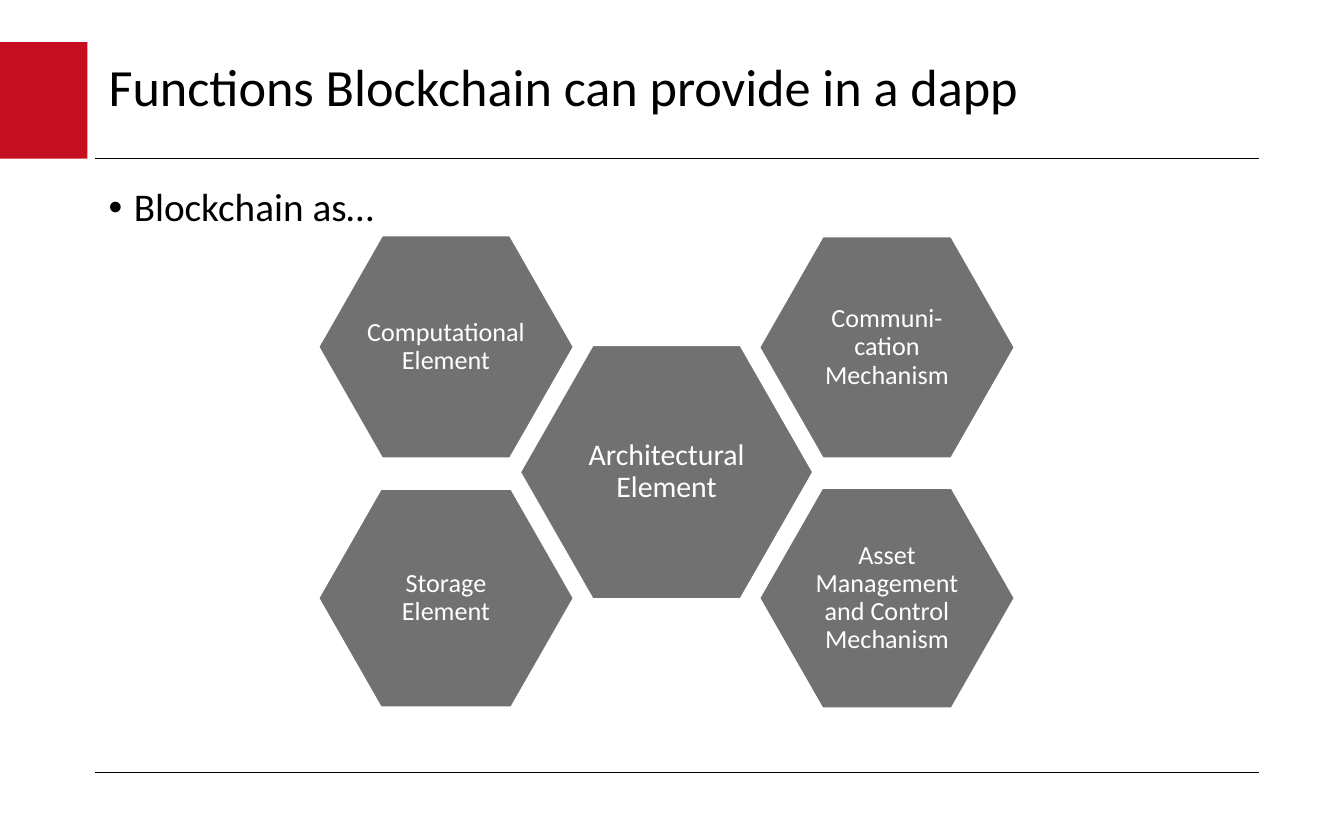
from lxml.etree import SubElement
from pptx import Presentation
from pptx.dml.color import RGBColor
from pptx.enum.shapes import MSO_CONNECTOR, MSO_SHAPE
from pptx.enum.text import MSO_ANCHOR, PP_ALIGN
from pptx.oxml.ns import qn
from pptx.util import Pt

RED = RGBColor(0xC5, 0x0E, 0x1F)
GRAY = RGBColor(0x71, 0x71, 0x71)
BLACK = RGBColor(0, 0, 0)
WHITE = RGBColor(0xFF, 0xFF, 0xFF)

CONTENT_LEFT, CONTENT_WIDTH = 51.1, 623.5
LEFT_COLUMN, CENTER_COLUMN, RIGHT_COLUMN = 170.6, 278.6, 406.8
OUTER_WIDTH, CENTER_WIDTH = 136.8, 157

FUNCTIONS = [
    ("Architectural Element", 16, (CENTER_COLUMN, 185, CENTER_WIDTH, 136)),
    ("Communi-cation Mechanism", 14, (RIGHT_COLUMN, 126.7, OUTER_WIDTH, 118.8)),
    ("Asset Management and Control Mechanism", 14, (RIGHT_COLUMN, 261.4, OUTER_WIDTH, 118)),
    ("Storage Element", 14, (LEFT_COLUMN, 262, OUTER_WIDTH, 116.9)),
    ("Computational Element", 14, (LEFT_COLUMN, 126.2, OUTER_WIDTH, 119.3)),
]


def points(box):
    return [Pt(length) for length in box]


def style_paragraph(paragraph, size, color):
    paragraph.line_spacing = 0.9
    for run in paragraph.runs:
        run.font.name = "Calibri"
        run.font.size = Pt(size)
        run.font.color.rgb = color


def add_rule(slide, left, top, width):
    rule = slide.shapes.add_connector(
        MSO_CONNECTOR.STRAIGHT, Pt(left), Pt(top), Pt(left + width), Pt(top))
    rule.line.color.rgb = BLACK
    rule.line.width = Pt(0.75)
    SubElement(rule._element.spPr, qn("a:effectLst"))


def add_accent(slide, box):
    accent = slide.shapes.add_shape(MSO_SHAPE.RECTANGLE, *points(box))
    accent.shadow.inherit = False
    accent.fill.solid()
    accent.fill.fore_color.rgb = RED
    accent.line.fill.background()


def add_text(slide, box, text, size, anchor):
    frame = slide.shapes.add_textbox(*points(box)).text_frame
    frame.word_wrap = True
    frame.vertical_anchor = anchor
    frame.text = text
    style_paragraph(frame.paragraphs[0], size, BLACK)
    return frame.paragraphs[0]


def add_heading(slide, box):
    add_text(slide, box, "Functions Blockchain can provide in a dapp", 28, MSO_ANCHOR.MIDDLE)


def add_lead(slide, box):
    lead = add_text(slide, box, "Blockchain as…", 21, MSO_ANCHOR.TOP)
    properties = lead._p.get_or_add_pPr()
    properties.set("marL", str(Pt(13.5)))
    properties.set("indent", str(-Pt(13.5)))
    SubElement(properties, qn("a:buFont"), typeface="Arial")
    SubElement(properties, qn("a:buChar"), char="•")


def add_function(slide, box, label, size):
    hexagon = slide.shapes.add_shape(MSO_SHAPE.HEXAGON, *points(box))
    hexagon.adjustments[0] = 0.286
    hexagon.shadow.inherit = False
    hexagon.fill.solid()
    hexagon.fill.fore_color.rgb = GRAY
    hexagon.line.color.rgb = WHITE
    hexagon.line.width = Pt(1)
    frame = hexagon.text_frame
    frame.word_wrap = True
    frame.vertical_anchor = MSO_ANCHOR.MIDDLE
    frame.margin_left = frame.margin_right = Pt(1.4)
    frame.margin_top = frame.margin_bottom = Pt(1.4)
    frame.text = label
    frame.paragraphs[0].alignment = PP_ALIGN.CENTER
    style_paragraph(frame.paragraphs[0], size, WHITE)


def main():
    presentation = Presentation()
    presentation.slide_width = Pt(720)
    presentation.slide_height = Pt(450)
    slide = presentation.slides.add_slide(presentation.slide_layouts[6])
    add_accent(slide, (0, 22.5, 46.8, 62.5))
    for top in (85, 413.8):
        add_rule(slide, CONTENT_LEFT, top, CONTENT_WIDTH)
    add_heading(slide, (CONTENT_LEFT, 22.5, CONTENT_WIDTH, 51))
    add_lead(slide, (CONTENT_LEFT, 97.2, CONTENT_WIDTH, 303))
    for label, size, box in FUNCTIONS:
        add_function(slide, box, label, size)
    presentation.save("out.pptx")


if __name__ == "__main__":
    main()
